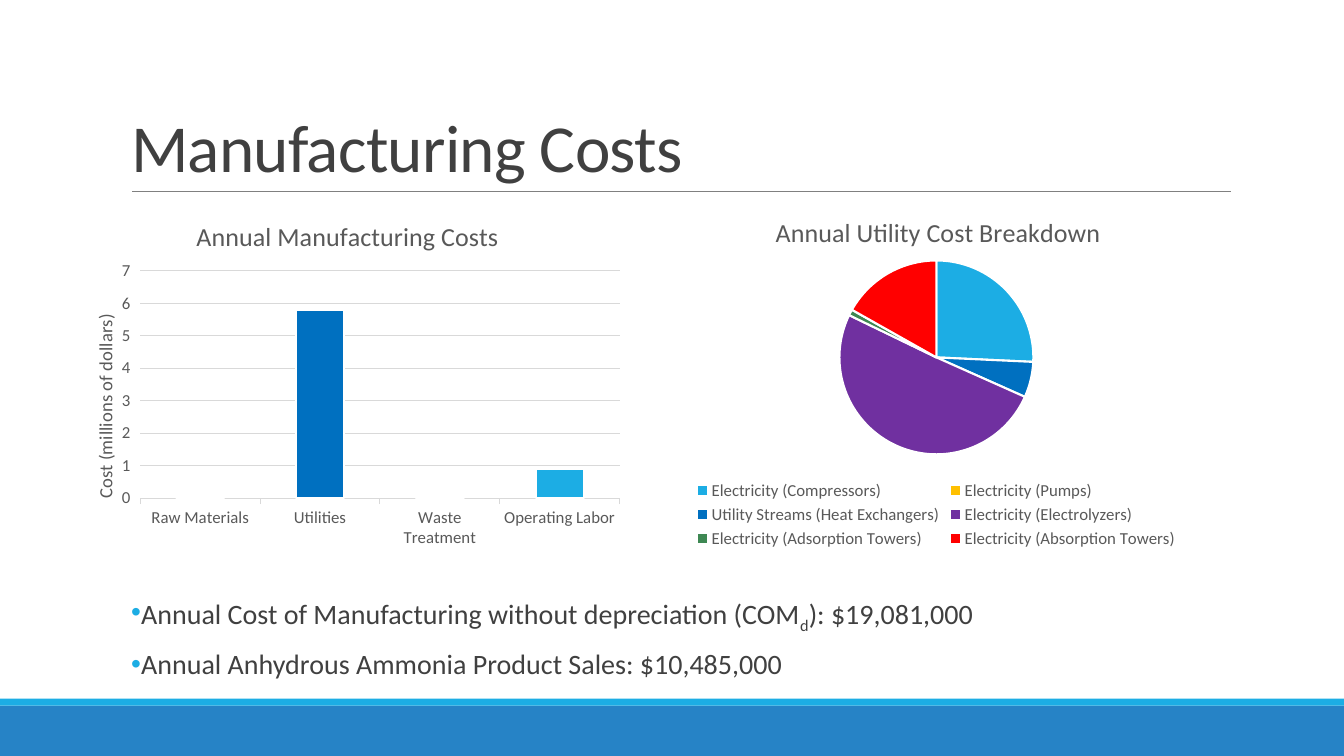
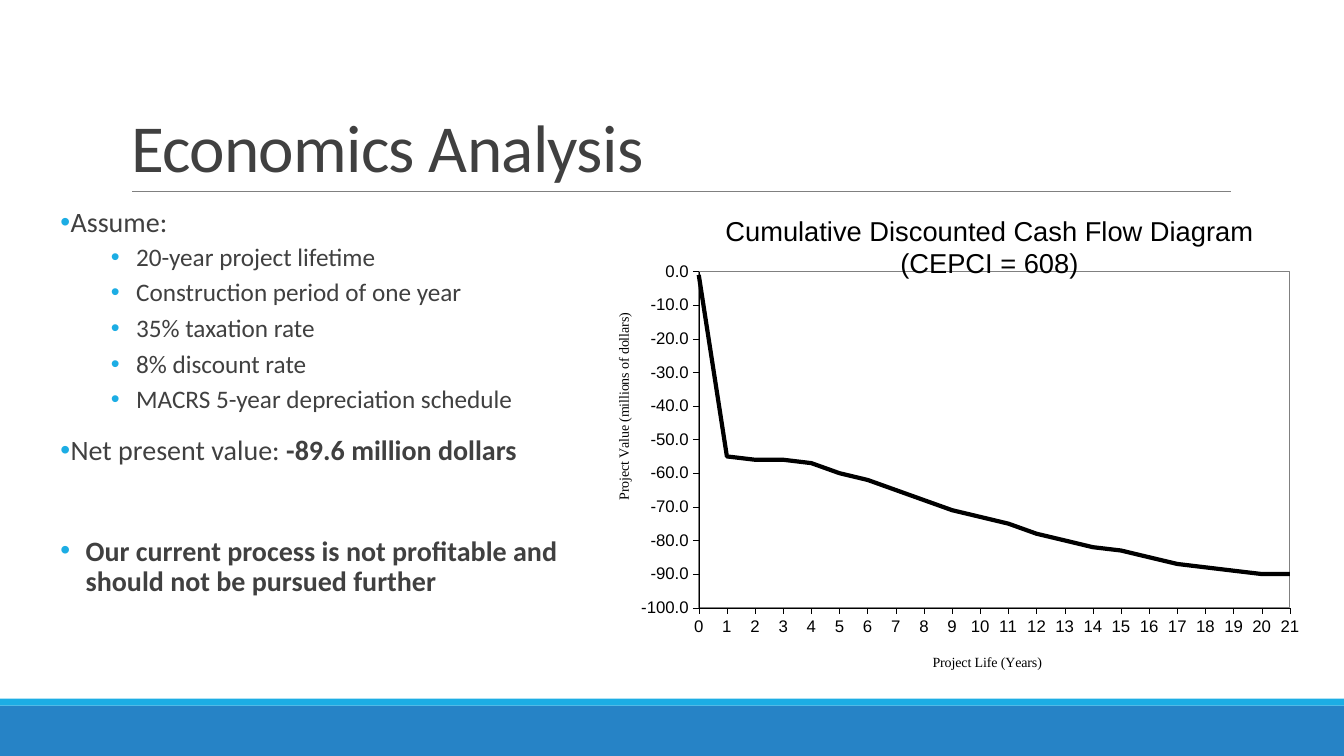
from lxml import etree
from pptx import Presentation
from pptx.chart.data import CategoryChartData, XyChartData
from pptx.dml.color import RGBColor
from pptx.enum.chart import XL_AXIS_CROSSES, XL_CHART_TYPE, XL_LEGEND_POSITION, XL_TICK_MARK
from pptx.enum.shapes import MSO_CONNECTOR, MSO_SHAPE
from pptx.enum.text import MSO_ANCHOR, MSO_AUTO_SIZE, PP_ALIGN
from pptx.oxml.ns import qn
from pptx.util import Inches, Pt

COLUMN_CLUSTERED = XL_CHART_TYPE.COLUMN_CLUSTERED
PIE = XL_CHART_TYPE.PIE
SCATTER_LINES = XL_CHART_TYPE.XY_SCATTER_LINES_NO_MARKERS
MINIMUM = XL_AXIS_CROSSES.MINIMUM
LEGEND_BOTTOM = XL_LEGEND_POSITION.BOTTOM
TICK_OUTSIDE = XL_TICK_MARK.OUTSIDE
RECTANGLE = MSO_SHAPE.RECTANGLE
STRAIGHT = MSO_CONNECTOR.STRAIGHT
BOTTOM = MSO_ANCHOR.BOTTOM
NO_AUTOFIT = MSO_AUTO_SIZE.NONE
LEFT = PP_ALIGN.LEFT

CYAN = RGBColor(0x1C, 0xAD, 0xE4)
BAND_BLUE = RGBColor(0x26, 0x83, 0xC6)
BLUE = RGBColor(0x00, 0x70, 0xC0)
RED = RGBColor(0xFF, 0x00, 0x00)
GOLD = RGBColor(0xFF, 0xC0, 0x00)
PURPLE = RGBColor(0x70, 0x30, 0xA0)
GREEN = RGBColor(0x3E, 0x88, 0x53)
TEXT_GRAY = RGBColor(0x40, 0x40, 0x40)
CHART_GRAY = RGBColor(0x59, 0x59, 0x59)
RULE_GRAY = RGBColor(0x80, 0x80, 0x80)
GRID_GRAY = RGBColor(0xD9, 0xD9, 0xD9)
WHITE = RGBColor(0xFF, 0xFF, 0xFF)
BLACK = RGBColor(0x00, 0x00, 0x00)

SLIDE_WIDTH = Inches(13.33)
SLIDE_HEIGHT = Inches(7.5)
COLUMN = SLIDE_WIDTH / 100
ROW = SLIDE_HEIGHT / 100

TITLE_BOX = (9, 4.13, 82.5, 21.2)
COST_BOX = (4.5, 25.33, 42.45, 47.73)
UTILITY_BOX = (48.45, 25.33, 42.45, 47.73)
SALES_BOX = (9, 78.27, 82.5, 15.73)
ASSUMPTION_BOX = (3.75, 26.93, 39.45, 62.4)
CASH_FLOW_BOX = (45, 26.93, 53.78, 64.27)

POINT_STYLE = dict(left=0.1, hanging=0.1, before=12, after=2, size=20)
DETAIL_STYLE = dict(left=0.75, hanging=0.25, before=2, after=4, size=18)
CONCLUSION_STYLE = dict(POINT_STYLE, left=0.25, hanging=0.25, before=48)


def grid(left, top, width, height):
    return round(left * COLUMN), round(top * ROW), round(width * COLUMN), round(height * ROW)


def place(shape, box):
    shape.left, shape.top, shape.width, shape.height = grid(*box)


def format_font(font, size, color, name="Calibri", bold=False):
    font.size = Pt(size)
    font.name = name
    font.bold = bold
    font.color.rgb = color


def add_run(paragraph, text, size, color=TEXT_GRAY, name="Calibri", bold=False, baseline=0, spacing=0):
    run = paragraph.add_run()
    run.text = text
    format_font(run.font, size, color, name, bold)
    properties = run._r.get_or_add_rPr()
    if baseline:
        properties.set("baseline", str(baseline * 1000))
    if spacing:
        properties.set("spc", str(round(spacing * 100)))


def add_bullet(paragraph, left, hanging):
    properties = paragraph._p.get_or_add_pPr()
    properties.set("marL", str(Inches(left)))
    properties.set("indent", str(-Inches(hanging)))
    color = etree.SubElement(properties, qn("a:buClr"))
    etree.SubElement(color, qn("a:srgbClr")).set("val", str(CYAN))
    etree.SubElement(properties, qn("a:buChar")).set("char", "•")


def fill_body(slide, box, items):
    body = slide.placeholders[1]
    place(body, box)
    frame = body.text_frame
    frame.auto_size = NO_AUTOFIT
    for index, (runs, style) in enumerate(items):
        paragraph = frame.paragraphs[0] if index == 0 else frame.add_paragraph()
        add_bullet(paragraph, style["left"], style["hanging"])
        paragraph.line_spacing = 0.9
        paragraph.space_before = Pt(style["before"] if index else 0)
        paragraph.space_after = Pt(style["after"])
        for text, extra in runs:
            add_run(paragraph, text, style["size"], **extra)


def add_band(slide, top, height, color):
    band = slide.shapes.add_shape(RECTANGLE, *grid(0, top, 100, height))
    band.shadow.inherit = False
    band.fill.solid()
    band.fill.fore_color.rgb = color
    band.line.fill.background()
    return band


def decorate_layout(layout, slide):
    bands = [add_band(slide, 93.33, 6.67, BAND_BLUE), add_band(slide, 92.4, 0.93, CYAN)]
    start, height, length, _ = grid(9.83, 25.33, 81.75, 0)
    rule = slide.shapes.add_connector(STRAIGHT, start, height, start + length, height)
    rule.line.color.rgb = RULE_GRAY
    rule.line.width = Pt(0.5)
    etree.SubElement(rule._element.spPr, qn("a:effectLst"))
    for shape in bands + [rule]:
        layout.shapes.element.append(shape.element)
    place(layout.placeholders[0], TITLE_BOX)


def add_titled_slide(presentation, layout, text):
    slide = presentation.slides.add_slide(layout)
    frame = slide.shapes.title.text_frame
    frame.auto_size = NO_AUTOFIT
    frame.vertical_anchor = BOTTOM
    paragraph = frame.paragraphs[0]
    paragraph.alignment = LEFT
    paragraph.line_spacing = 0.85
    add_run(paragraph, text, 48, spacing=-0.5)
    return slide


def set_layout(parent, index, **shares):
    layout = parent.find(qn("c:layout"))
    if layout is None:
        layout = etree.Element(qn("c:layout"))
        parent.insert(index, layout)
    manual = etree.SubElement(layout, qn("c:manualLayout"))
    if "w" in shares:
        etree.SubElement(manual, qn("c:layoutTarget")).set("val", "inner")
    modes = dict(xMode="edge", yMode="edge")
    for tag, value in (modes | shares).items():
        etree.SubElement(manual, qn("c:" + tag)).set("val", str(value))


def set_title(title, text, x, y, size, color, name="Calibri", rotated=False):
    frame = title.text_frame
    add_run(frame.paragraphs[0], text, size, color, name)
    if rotated:
        properties = title.element.find(".//" + qn("a:bodyPr"))
        properties.set("rot", "-5400000")
        properties.set("vert", "horz")
    set_layout(title.element, 1, x=x, y=y)


def format_axis(axis, color, name, line_color=None, line_width=0.75):
    axis.has_major_gridlines = False
    axis.major_tick_mark = TICK_OUTSIDE
    format_font(axis.tick_labels.font, 12, color, name)
    if line_color is None:
        axis.format.line.fill.background()
    else:
        axis.format.line.color.rgb = line_color
        axis.format.line.width = Pt(line_width)


def set_scale(axis, minimum, maximum, step):
    axis.minimum_scale, axis.maximum_scale, axis.major_unit = minimum, maximum, step


def add_chart(slide, kind, box, data, font_name, plot):
    chart = slide.shapes.add_chart(kind, *grid(*box), data).chart
    format_font(chart.font, 10, BLACK, font_name)
    chart.has_legend = False
    chart.has_title = True
    plot_area = chart.element.find(".//" + qn("c:plotArea"))
    set_layout(plot_area, 0, **plot)
    return chart


def category_data(categories, values):
    data = CategoryChartData()
    data.categories = categories
    data.add_series("Series 1", values)
    return data


def color_points(series, colors):
    for index, color in enumerate(colors):
        point_format = series.points[index].format
        point_format.fill.solid()
        point_format.fill.fore_color.rgb = color
        point_format.line.color.rgb = WHITE
        point_format.line.width = Pt(1.5)


def add_cost_chart(slide, box):
    data = category_data(["Raw Materials", "Utilities", "Waste Treatment", "Operating Labor"], [0, 5.8, 0, 0.9])
    chart = add_chart(slide, COLUMN_CLUSTERED, box, data, "Calibri", dict(x=0.14, y=0.22, w=0.84, h=0.63))
    set_title(chart.chart_title, "Annual Manufacturing Costs", 0.23, 0.06, 18.6, CHART_GRAY)
    format_axis(chart.category_axis, CHART_GRAY, "Calibri", GRID_GRAY)
    value_axis = chart.value_axis
    format_axis(value_axis, CHART_GRAY, "Calibri")
    set_scale(value_axis, 0, 7, 1)
    value_axis.major_gridlines.format.line.color.rgb = GRID_GRAY
    value_axis.major_gridlines.format.line.width = Pt(0.75)
    set_title(value_axis.axis_title, "Cost (millions of dollars)", 0.05, 0.33, 13.3, CHART_GRAY, rotated=True)
    plot = chart.plots[0]
    plot.gap_width = 150
    plot.vary_by_categories = False
    color_points(plot.series[0], [RED, BLUE, CYAN, CYAN])


def add_utility_chart(slide, box):
    slices = {
        "Electricity (Compressors)": (26, CYAN),
        "Electricity (Pumps)": (0, GOLD),
        "Utility Streams (Heat Exchangers)": (6, BLUE),
        "Electricity (Electrolyzers)": (51, PURPLE),
        "Electricity (Adsorption Towers)": (1, GREEN),
        "Electricity (Absorption Towers)": (17, RED),
    }
    values, colors = zip(*slices.values())
    data = category_data(list(slices), values)
    chart = add_chart(slide, PIE, box, data, "Calibri", dict(x=0.33, y=0.19, w=0.34, h=0.54))
    set_title(chart.chart_title, "Annual Utility Cost Breakdown", 0.21, 0.05, 18.6, CHART_GRAY)
    chart.has_legend = True
    chart.legend.position = LEGEND_BOTTOM
    chart.legend.include_in_layout = False
    format_font(chart.legend.font, 12, CHART_GRAY)
    chart.plots[0].vary_by_categories = True
    color_points(chart.plots[0].series[0], colors)


def outline_plot(chart, color, width):
    plot_area = chart.element.find(".//" + qn("c:plotArea"))
    properties = etree.SubElement(plot_area, qn("c:spPr"))
    line = etree.SubElement(properties, qn("a:ln"))
    line.set("w", str(Pt(width)))
    fill = etree.SubElement(line, qn("a:solidFill"))
    etree.SubElement(fill, qn("a:srgbClr")).set("val", str(color))


def add_cash_flow_chart(slide, box):
    values = [-1, -55, -56, -56, -57, -60, -62, -65, -68, -71, -73,
              -75, -78, -80, -82, -83, -85, -87, -88, -89, -90, -90]
    data = XyChartData()
    cash_flow = data.add_series("Series 1")
    for year, value in enumerate(values):
        cash_flow.add_data_point(year, value)
    chart = add_chart(slide, SCATTER_LINES, box, data, "Arial", dict(x=0.13, y=0.14, w=0.818, h=0.692))
    set_title(chart.chart_title, "Cumulative Discounted Cash Flow Diagram (CEPCI = 608)",
              0.16, 0.01, 19.5, BLACK, "Arial")
    year_axis, value_axis = chart.category_axis, chart.value_axis
    for axis in (year_axis, value_axis):
        format_axis(axis, BLACK, "Arial", BLACK, 0.25)
    set_scale(year_axis, 0, 21, 1)
    set_scale(value_axis, -100, 0, 10)
    value_axis.crosses = MINIMUM
    value_axis.tick_labels.number_format = "0.0"
    value_axis.tick_labels.number_format_is_linked = False
    set_title(year_axis.axis_title, "Project Life (Years)", 0.45, 0.92, 10, BLACK, "Times New Roman")
    set_title(value_axis.axis_title, "Project Value (millions of dollars)",
              0.01, 0.22, 10, BLACK, "Times New Roman", rotated=True)
    outline_plot(chart, RULE_GRAY, 0.75)
    chart.plots[0].vary_by_categories = False
    series = chart.plots[0].series[0]
    series.smooth = False
    series.format.line.color.rgb = BLACK
    series.format.line.width = Pt(3)


def build_cost_slide(slide):
    add_cost_chart(slide, COST_BOX)
    add_utility_chart(slide, UTILITY_BOX)
    fill_body(slide, SALES_BOX, [
        ([("Annual Cost of Manufacturing without depreciation (COM", {}),
          ("d", dict(baseline=-25)), ("): $19,081,000", {})], POINT_STYLE),
        ([("Annual Anhydrous Ammonia Product Sales: $10,485,000", {})], POINT_STYLE),
    ])


def build_economics_slide(slide):
    details = ["20-year project lifetime", "Construction period of one year", "35% taxation rate",
               "8% discount rate", "MACRS 5-year depreciation schedule"]
    bold = dict(bold=True)
    fill_body(slide, ASSUMPTION_BOX, [
        ([("Assume:", {})], POINT_STYLE),
        *[([(detail, {})], DETAIL_STYLE) for detail in details],
        ([("Net present value: ", {}), ("-89.6 million dollars", bold)], POINT_STYLE),
        ([("Our current process is not profitable and should not be pursued further", bold)], CONCLUSION_STYLE),
    ])
    add_cash_flow_chart(slide, CASH_FLOW_BOX)


def main():
    presentation = Presentation()
    presentation.slide_width, presentation.slide_height = SLIDE_WIDTH, SLIDE_HEIGHT
    layout = presentation.slide_layouts[1]
    cost_slide = add_titled_slide(presentation, layout, "Manufacturing Costs")
    decorate_layout(layout, cost_slide)
    build_cost_slide(cost_slide)
    build_economics_slide(add_titled_slide(presentation, layout, "Economics Analysis"))
    presentation.save("out.pptx")


if __name__ == "__main__":
    main()
